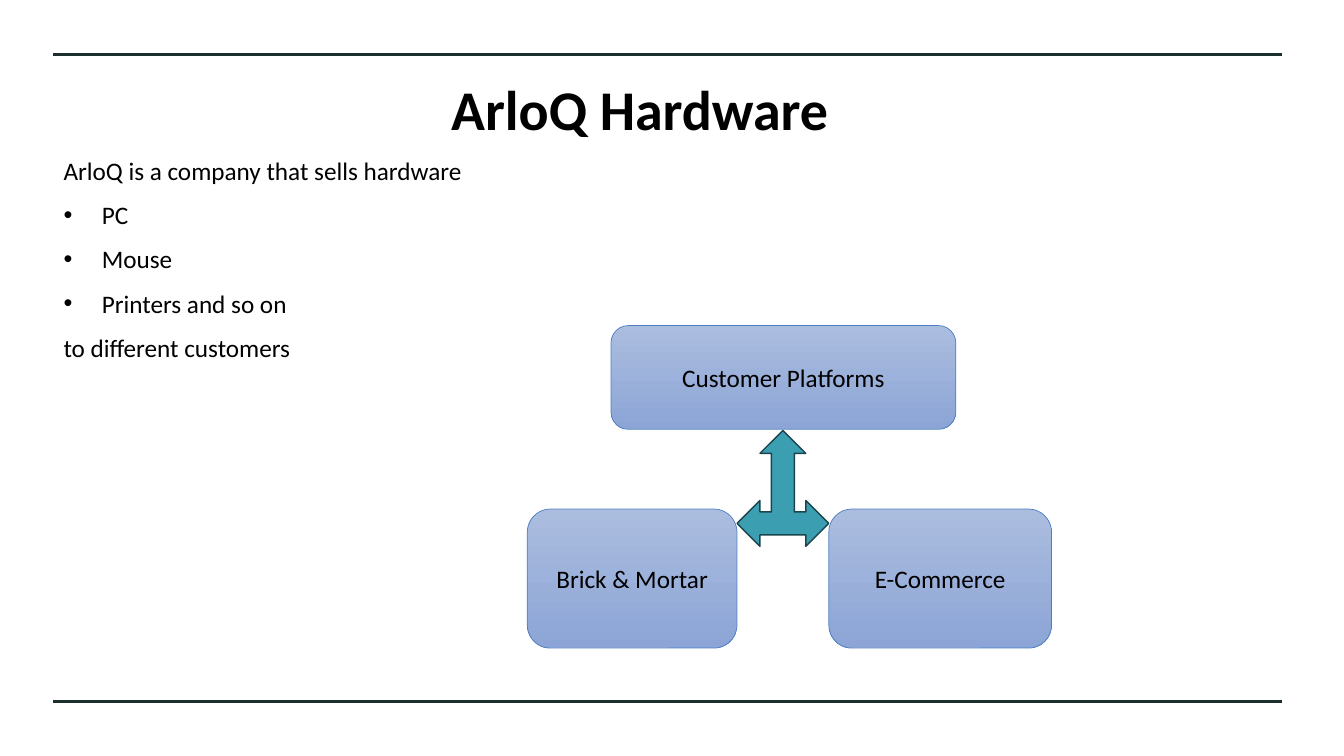
from lxml import etree
from pptx import Presentation
from pptx.dml.color import RGBColor
from pptx.enum.shapes import MSO_CONNECTOR, MSO_SHAPE
from pptx.enum.text import MSO_ANCHOR, PP_ALIGN
from pptx.oxml.ns import qn
from pptx.util import Inches, Pt

STRAIGHT = MSO_CONNECTOR.STRAIGHT
ROUNDED = MSO_SHAPE.ROUNDED_RECTANGLE
THREE_WAY_ARROW = MSO_SHAPE.LEFT_RIGHT_UP_ARROW
CENTER, LEFT = PP_ALIGN.CENTER, PP_ALIGN.LEFT
MIDDLE, TOP = MSO_ANCHOR.MIDDLE, MSO_ANCHOR.TOP

COLORS = {
    "text": "000000",
    "rule": "1B2F2E",
    "box_top": "ABBDDF",
    "box_bottom": "8CA5D6",
    "box_line": "4D7EC3",
    "arrow": "3B9EB1",
    "arrow_line": "1A454E",
}
MARGIN = 0.53
BULLET_INDENT = Inches(0.38)


def color(name):
    return RGBColor.from_string(COLORS[name])


def style(paragraph, size, alignment=CENTER, bold=False):
    paragraph.alignment = alignment
    font = paragraph.font
    font.name, font.size, font.bold = "Calibri", Pt(size), bold
    font.color.rgb = color("text")


presentation = Presentation()
presentation.slide_width = Inches(13.33)
presentation.slide_height = Inches(7.5)
slide = presentation.slides.add_slide(presentation.slide_layouts[1])

# Rules at the top and bottom
for y in (0.54, 6.96):
    rule = slide.shapes.add_connector(
        STRAIGHT, Inches(MARGIN), Inches(y), Inches(12.72), Inches(y))
    rule.line.color.rgb = color("rule")
    rule.line.width = Pt(2.25)
    etree.SubElement(rule._element.spPr, qn("a:effectLst"))

# Title
title = slide.shapes.title
title.left, title.top = Inches(MARGIN), Inches(0.65)
title.width, title.height = Inches(11.63), Inches(0.84)
title.text_frame.text = "ArloQ Hardware"
title.text_frame.vertical_anchor = MIDDLE
style(title.text_frame.paragraphs[0], 40, bold=True)

# Company description with its product list
body = slide.placeholders[1]
body.left, body.top = Inches(MARGIN), Inches(1.49)
body.width, body.height = Inches(11.49), Inches(4.94)
body.text_frame.vertical_anchor = TOP
description = [
    ("ArloQ is a company that sells hardware", False),
    ("PC", True),
    ("Mouse", True),
    ("Printers and so on", True),
    ("to different customers", False),
]
body.text_frame.text = "\n".join(text for text, bulleted in description)
for paragraph, (text, bulleted) in zip(body.text_frame.paragraphs, description):
    style(paragraph, 18, LEFT)
    paragraph.space_before = Pt(10)
    properties = paragraph._p.get_or_add_pPr()
    indent = BULLET_INDENT if bulleted else 0
    properties.set("marL", str(indent))
    properties.set("indent", str(-indent))
    if bulleted:
        etree.SubElement(properties, qn("a:buFont"), typeface="Arial")
        etree.SubElement(properties, qn("a:buChar"), char="•")
    else:
        etree.SubElement(properties, qn("a:buNone"))
    # Bullet settings come before the default run properties
    properties.append(properties.find(qn("a:defRPr")))

# Customer platforms and their two channels, joined by the arrow
diagram = [
    (ROUNDED, "Customer Platforms", 6.06, 3.23, 3.42, 1.03),
    (THREE_WAY_ARROW, "", 7.31, 4.27, 0.91, 1.15),
    (ROUNDED, "Brick & Mortar", 5.23, 5.05, 2.08, 1.38),
    (ROUNDED, "E-Commerce", 8.22, 5.05, 2.21, 1.38),
]
for kind, label, *box in diagram:
    shape = slide.shapes.add_shape(kind, *map(Inches, box))
    shape.shadow.inherit = False
    if kind == THREE_WAY_ARROW:
        shape.fill.solid()
        shape.fill.fore_color.rgb = color("arrow")
        shape.line.color.rgb = color("arrow_line")
        shape.line.width = Pt(1)
        continue
    shape.fill.gradient()
    shape.fill.gradient_angle = 270
    for stop, name in zip(shape.fill.gradient_stops, ("box_top", "box_bottom")):
        stop.color.rgb = color(name)
    shape.line.color.rgb = color("box_line")
    shape.line.width = Pt(0.5)
    shape.text_frame.text = label
    shape.text_frame.vertical_anchor = MIDDLE
    style(shape.text_frame.paragraphs[0], 18)

presentation.save("out.pptx")
